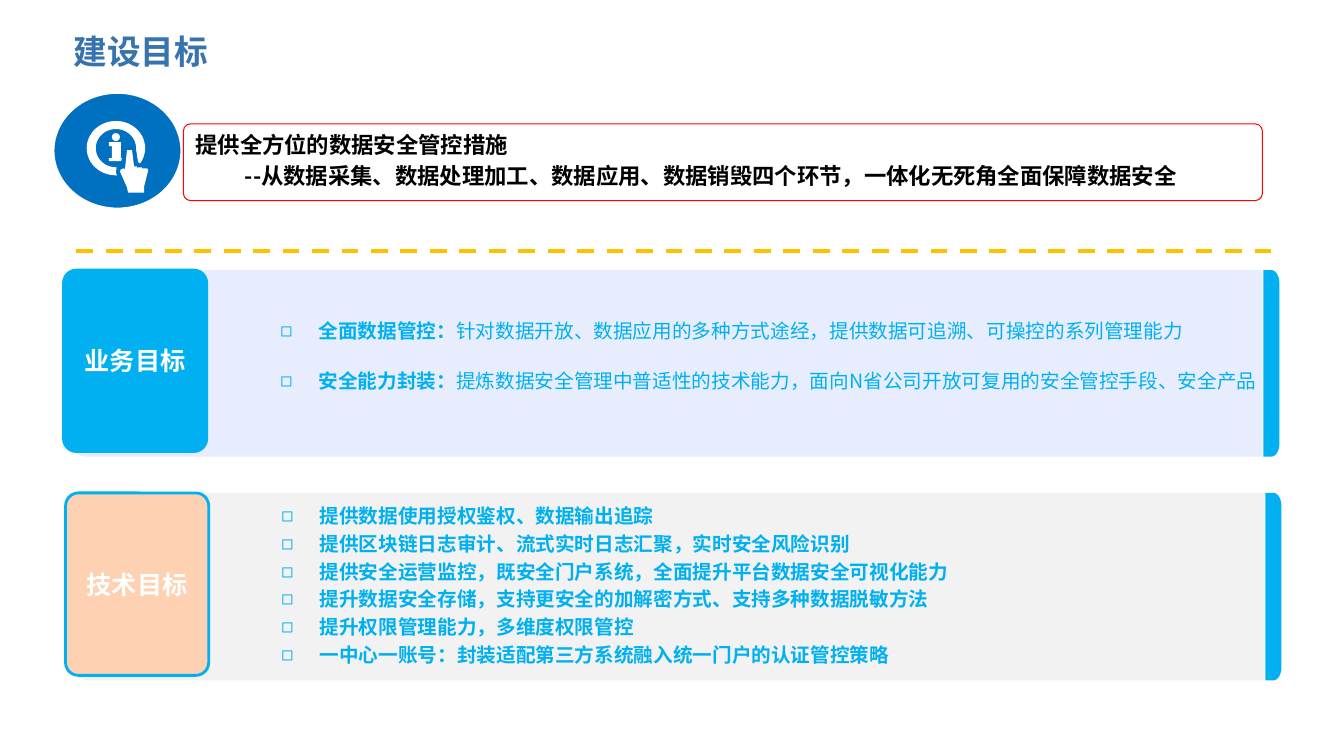
from dataclasses import dataclass
from math import cos, radians, sin

from lxml.etree import SubElement
from pptx import Presentation
from pptx.dml.color import RGBColor
from pptx.enum.dml import MSO_LINE
from pptx.enum.shapes import MSO_CONNECTOR, MSO_SHAPE
from pptx.enum.text import MSO_ANCHOR, MSO_AUTO_SIZE, PP_ALIGN
from pptx.oxml.ns import qn
from pptx.util import Pt

EMU_PER_PX = 9144


@dataclass(frozen=True)
class Theme:
    font: str = "Noto Sans CJK SC"
    title: str = "3773AC"
    accent: str = "00B0F0"
    emblem: str = "0070C0"
    white: str = "FFFFFF"
    black: str = "000000"
    red: str = "FF0000"
    gold: str = "FFC000"
    business: str = "E7EDFD"
    technical: str = "F2F2F2"
    peach: str = "FDD1B1"
    title_size: int = 24
    badge_size: int = 18
    summary_size: int = 16
    list_size: int = 14


def px(length):
    return round(length * EMU_PER_PX)


def arc(cx, cy, rx, ry, start, end, steps=12):
    angles = [radians(start + (end - start) * i / steps) for i in range(steps + 1)]
    return [(cx + rx * cos(a), cy + ry * sin(a)) for a in angles]


class GoalSlide:
    def __init__(self, deck, theme):
        self.theme = theme
        self.slide = deck.slides.add_slide(deck.slide_layouts[3])
        self.shapes = self.slide.shapes

    def paint(self, shape, fill=None, line=None, weight=1):
        shape.shadow.inherit = False
        if fill:
            shape.fill.solid()
            shape.fill.fore_color.rgb = RGBColor.from_string(fill)
        else:
            shape.fill.background()
        if line:
            shape.line.color.rgb = RGBColor.from_string(line)
            shape.line.width = Pt(weight)
        else:
            shape.line.fill.background()

    def preset(self, kind, box, fill=None, line=None, weight=1):
        shape = self.shapes.add_shape(kind, *map(px, box))
        self.paint(shape, fill, line, weight)
        if kind == MSO_SHAPE.ROUNDED_RECTANGLE:
            shape.adjustments[0] = 0.09
        return shape

    def outline(self, contours, fill):
        first = contours[0][0]
        builder = self.shapes.build_freeform(px(first[0]), px(first[1]), scale=1.0)
        for index, contour in enumerate(contours):
            points = [(px(x), px(y)) for x, y in contour]
            if index:
                builder.move_to(*points[0])
            builder.add_line_segments(points[1:], close=True)
        self.paint(builder.convert_to_shape(), fill)

    def run(self, paragraph, words, size, color, bold=True):
        run = paragraph.add_run()
        run.text = words
        run.font.size = Pt(size)
        run.font.bold = bold
        run.font.name = self.theme.font
        run.font.color.rgb = RGBColor.from_string(color)
        SubElement(run.font._element, qn("a:ea"), typeface=self.theme.font)

    def frame(self, shape, anchor):
        frame = shape.text_frame
        frame.word_wrap = True
        frame.auto_size = MSO_AUTO_SIZE.NONE
        frame.vertical_anchor = anchor
        return frame

    def place(self, placeholder, box):
        placeholder.left, placeholder.top, placeholder.width, placeholder.height = map(px, box)
        element = placeholder._element
        element.getparent().append(element)

    def title(self, words, box):
        heading = self.shapes.title
        self.place(heading, box)
        paragraph = self.frame(heading, MSO_ANCHOR.MIDDLE).paragraphs[0]
        paragraph.alignment = PP_ALIGN.LEFT
        self.run(paragraph, words, self.theme.title_size, self.theme.title)

    def bullets(self, index, goals, box, gap):
        placeholder = self.slide.placeholders[index]
        self.place(placeholder, box)
        frame = self.frame(placeholder, MSO_ANCHOR.TOP)
        for number, (lead, detail) in enumerate(goals):
            paragraph = frame.add_paragraph() if number else frame.paragraphs[0]
            paragraph.space_before = Pt(gap if number else 0)
            properties = paragraph._p.get_or_add_pPr()
            properties.set("marL", str(px(38)))
            properties.set("indent", str(px(-38)))
            SubElement(properties, qn("a:buChar"), char="◻")
            self.run(paragraph, lead, self.theme.list_size, self.theme.accent)
            if detail:
                self.run(paragraph, detail, self.theme.list_size, self.theme.accent, False)

    def badge(self, words, box, fill):
        shape = self.preset(MSO_SHAPE.ROUNDED_RECTANGLE, box, fill, self.theme.accent, 2)
        paragraph = self.frame(shape, MSO_ANCHOR.MIDDLE).paragraphs[0]
        paragraph.alignment = PP_ALIGN.CENTER
        self.run(paragraph, words, self.theme.badge_size, self.theme.white)

    def panel(self, left, top, height, fill):
        bottom, right, edge = top + height, left + 1182, left + 1199
        self.outline([arc(left + 16, bottom - 13, 16, 13, 90, 180)
                      + arc(left + 16, top + 13, 16, 13, 180, 270)
                      + [(right, top), (right, bottom)]], fill)
        self.outline([arc(edge - 8, top + 13, 8, 13, -90, 0)
                      + arc(edge - 8, bottom - 13, 8, 13, 0, 90)
                      + [(right + 1, bottom), (right + 1, top)]], self.theme.accent)

    def summary(self, lines, box):
        shape = self.preset(MSO_SHAPE.ROUNDED_RECTANGLE, box, None, self.theme.red, 0.75)
        frame = self.frame(shape, MSO_ANCHOR.TOP)
        for number, (words, indent) in enumerate(lines):
            paragraph = frame.add_paragraph() if number else frame.paragraphs[0]
            paragraph.alignment = PP_ALIGN.LEFT
            paragraph.space_before = Pt(3)
            paragraph._p.get_or_add_pPr().set("marL", str(px(indent)))
            self.run(paragraph, words, self.theme.summary_size, self.theme.black)

    def divider(self, left, right, y):
        rule = self.shapes.add_connector(MSO_CONNECTOR.STRAIGHT, *map(px, (right, y, left, y)))
        rule.line.color.rgb = RGBColor.from_string(self.theme.gold)
        rule.line.width = Pt(3)
        rule.line.dash_style = MSO_LINE.DASH
        SubElement(rule._element.spPr, qn("a:effectLst"))

    def emblem(self, box):
        self.preset(MSO_SHAPE.OVAL, box, self.theme.emblem, self.theme.white, 1.5)
        ring = (arc(115, 147, 29, 27, 34, -272, 40) + [(115, 171)]
                + arc(115, 147, 20, 19, -272, 3, 40) + [(137, 161)])
        hand = [(126, 149), (124, 168), (123, 167), (120, 168), (119, 170), (126, 186),
                (127, 191), (143, 191), (143, 185), (147, 169), (146, 167), (141, 167),
                (141, 166), (137, 166), (136, 167), (136, 165), (133, 165), (131, 149)]
        dot = arc(115, 136, 4, 4, 0, 360)
        stem = [(120, 157), (120, 141), (108, 141), (108, 145), (111, 145), (111, 157),
                (108, 157), (108, 160), (120, 160), (121, 157)]
        self.outline([ring, hand, dot, stem], self.theme.white)


def main():
    deck = Presentation()
    deck.slide_width, deck.slide_height = px(1333), px(750)
    theme = Theme()
    goals = GoalSlide(deck, theme)

    goals.title("建设目标", (63, 19, 792, 63))
    goals.emblem((53, 92, 127, 115))
    goals.summary([
        ("提供全方位的数据安全管控措施", 0),
        ("--从数据采集、数据处理加工、数据应用、数据销毁四个环节，一体化无死角全面保障数据安全", 49),
    ], (182, 123, 1070, 76))
    goals.divider(72, 1261, 249)

    goals.panel(70, 268, 185, theme.business)
    goals.badge("业务目标", (63, 268, 142, 180), theme.accent)
    goals.bullets(1, [
        ("全面数据管控：", "针对数据开放、数据应用的多种方式途经，提供数据可追溯、可操控的系列管理能力"),
        ("安全能力封装：", "提炼数据安全管理中普适性的技术能力，面向N省公司开放可复用的安全管控手段、安全产品"),
    ], (268, 311, 992, 85), 19)

    goals.panel(72, 489, 186, theme.technical)
    goals.badge("技术目标", (65, 489, 142, 181), theme.peach)
    goals.bullets(2, [(goal, "") for goal in (
        "提供数据使用授权鉴权、数据输出追踪",
        "提供区块链日志审计、流式实时日志汇聚，实时安全风险识别",
        "提供安全运营监控，既安全门户系统，全面提升平台数据安全可视化能力",
        "提升数据安全存储，支持更安全的加解密方式、支持多种数据脱敏方法",
        "提升权限管理能力，多维度权限管控",
        "一中心一账号：封装适配第三方系统融入统一门户的认证管控策略",
    )], (269, 495, 915, 175), 3)

    deck.save("out.pptx")


if __name__ == "__main__":
    main()
